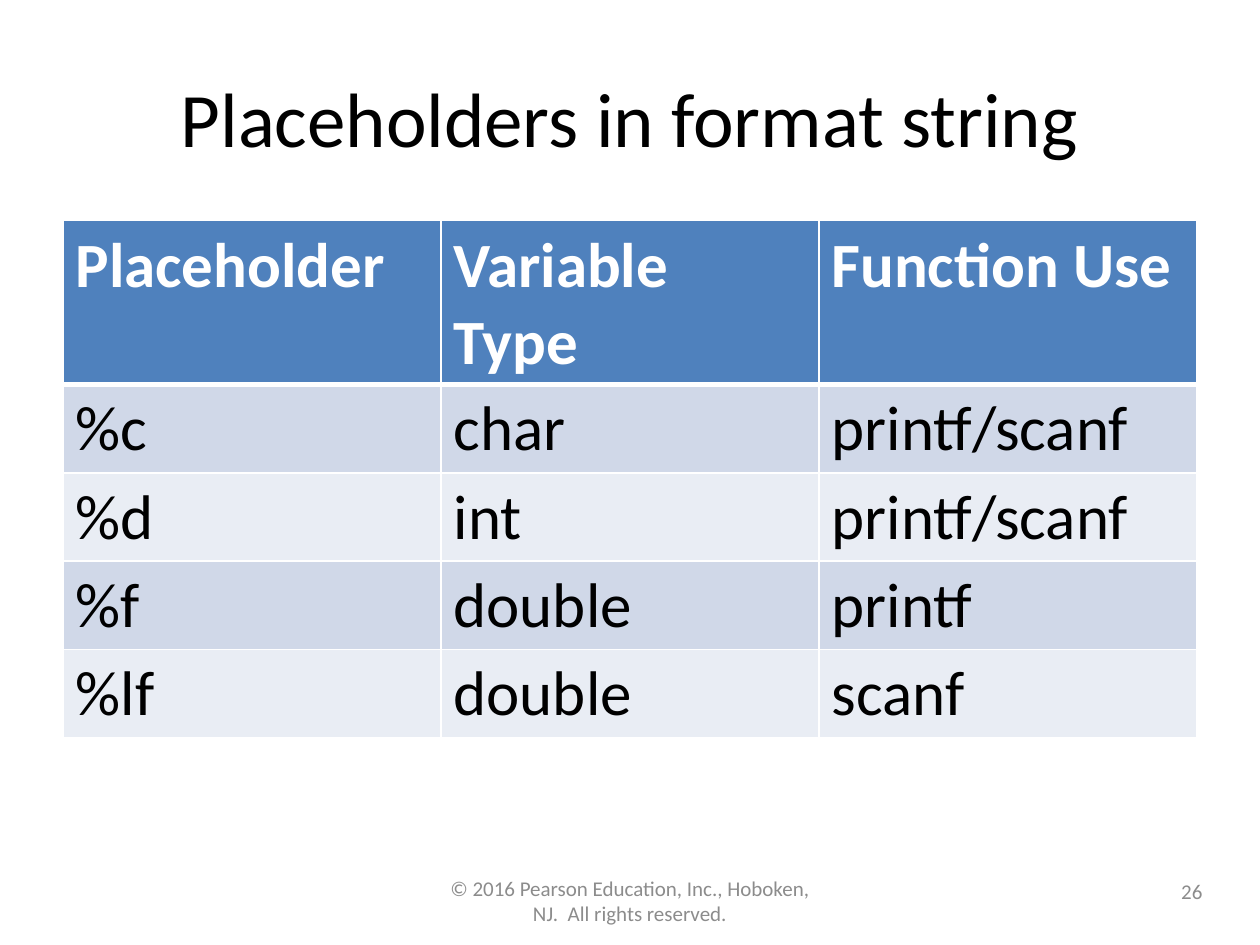
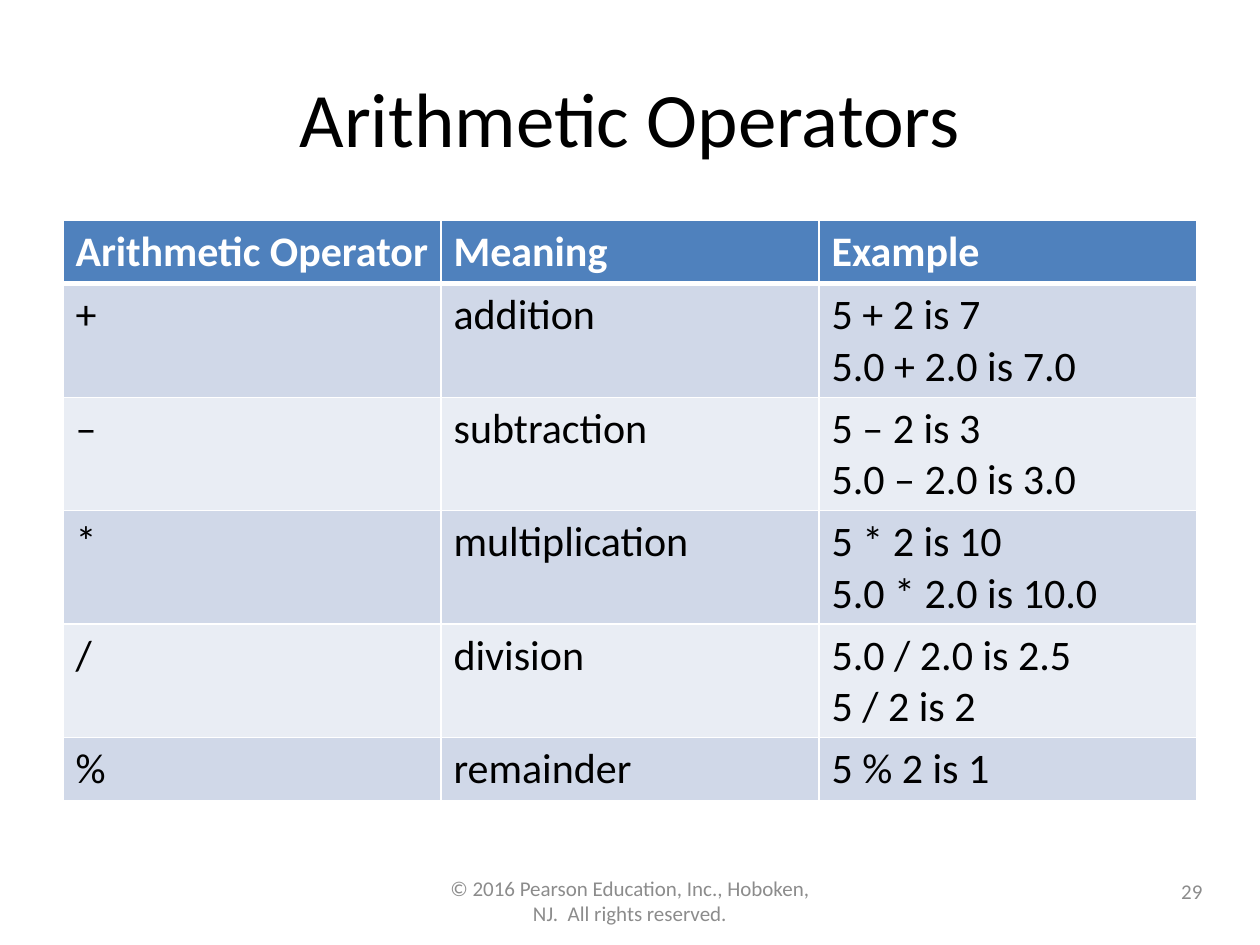
from pptx import Presentation
from pptx.util import Cm, Pt
from pptx.dml.color import RGBColor
from pptx.enum.text import PP_ALIGN as ALIGN, MSO_ANCHOR as ANCHOR
from pptx.oxml import parse_xml
from pptx.oxml.ns import nsdecls

FONT = "Calibri"
BLACK, WHITE, GREY = "000000", "FFFFFF", "8C8C8C"
HEADER, BANDS = "4F81BD", ("D0D8E8", "E9EDF4")
COPYRIGHT = "© 2016 Pearson Education, Inc., Hoboken, NJ.  All rights reserved."
MARGIN, WIDTH = Cm(1.27), Cm(22.86)
ROW_HEIGHT = Cm(1.04)  # least height; rows grow to fit their text

# title, page number, table text size, table rows
SLIDES = [
    ("Placeholders in format string", 26, 36, [
        ("Placeholder", "Variable Type", "Function Use"),
        ("%c", "char", "printf/scanf"),
        ("%d", "int", "printf/scanf"),
        ("%f", "double", "printf"),
        ("%lf", "double", "scanf"),
    ]),
    ("Arithmetic Operators", 29, 24, [
        ("Arithmetic Operator", "Meaning", "Example"),
        ("+", "addition", "5 + 2 is 7\n5.0 + 2.0 is 7.0"),
        ("–", "subtraction", "5 – 2 is 3\n5.0 – 2.0 is 3.0"),
        ("*", "multiplication", "5 * 2 is 10\n5.0 * 2.0 is 10.0"),
        ("/", "division", "5.0 / 2.0 is 2.5\n5 / 2 is 2"),
        ("%", "remainder", "5 % 2 is 1"),
    ]),
]


def write(tf, text, size, color, align=ALIGN.LEFT, bold=False):
    """Fill a text frame, one paragraph per line of text."""
    tf.text = text
    tf.word_wrap = True
    for p in tf.paragraphs:
        p.alignment = align
        p.font.name, p.font.size, p.font.bold = FONT, Pt(size), bold
        p.font.color.rgb = RGBColor.from_string(color)


prs = Presentation()
prs.slide_width, prs.slide_height = Cm(25.4), Cm(19.05)

for title, number, size, rows in SLIDES:
    s = prs.slides.add_slide(prs.slide_layouts[6])

    for text, box, text_size, color, align in [
        (title, (MARGIN, Cm(0.76), WIDTH, Cm(3.18)), 44, BLACK, ALIGN.CENTER),
        (COPYRIGHT, (Cm(8.68), Cm(17.65), Cm(8.04), Cm(1.01)), 12, GREY, ALIGN.CENTER),
        (str(number), (Cm(18.56), Cm(17.45), Cm(5.93), Cm(1.01)), 12, GREY, ALIGN.RIGHT),
    ]:
        tf = s.shapes.add_textbox(*box).text_frame
        tf.vertical_anchor = ANCHOR.MIDDLE
        write(tf, text, text_size, color, align)

    table = s.shapes.add_table(len(rows), len(rows[0]), MARGIN, Cm(4.45),
                               WIDTH, ROW_HEIGHT * len(rows)).table
    for i, row in enumerate(rows):
        is_header = i == 0
        for j, text in enumerate(row):
            cell = table.cell(i, j)
            write(cell.text_frame, text, size, WHITE if is_header else BLACK,
                  bold=is_header)
            # The rule between the header and the body is the thick one
            borders = {"L": 1, "R": 1, "T": 3 if i == 1 else 1, "B": 3 if is_header else 1}
            for side, points in borders.items():
                cell._tc.get_or_add_tcPr().append(parse_xml(
                    f'<a:ln{side} {nsdecls("a")} w="{Pt(points)}"><a:solidFill>'
                    f'<a:srgbClr val="{WHITE}"/></a:solidFill></a:ln{side}>'))
            cell.fill.solid()
            cell.fill.fore_color.rgb = RGBColor.from_string(
                HEADER if is_header else BANDS[(i - 1) % 2])

prs.save("out.pptx")
